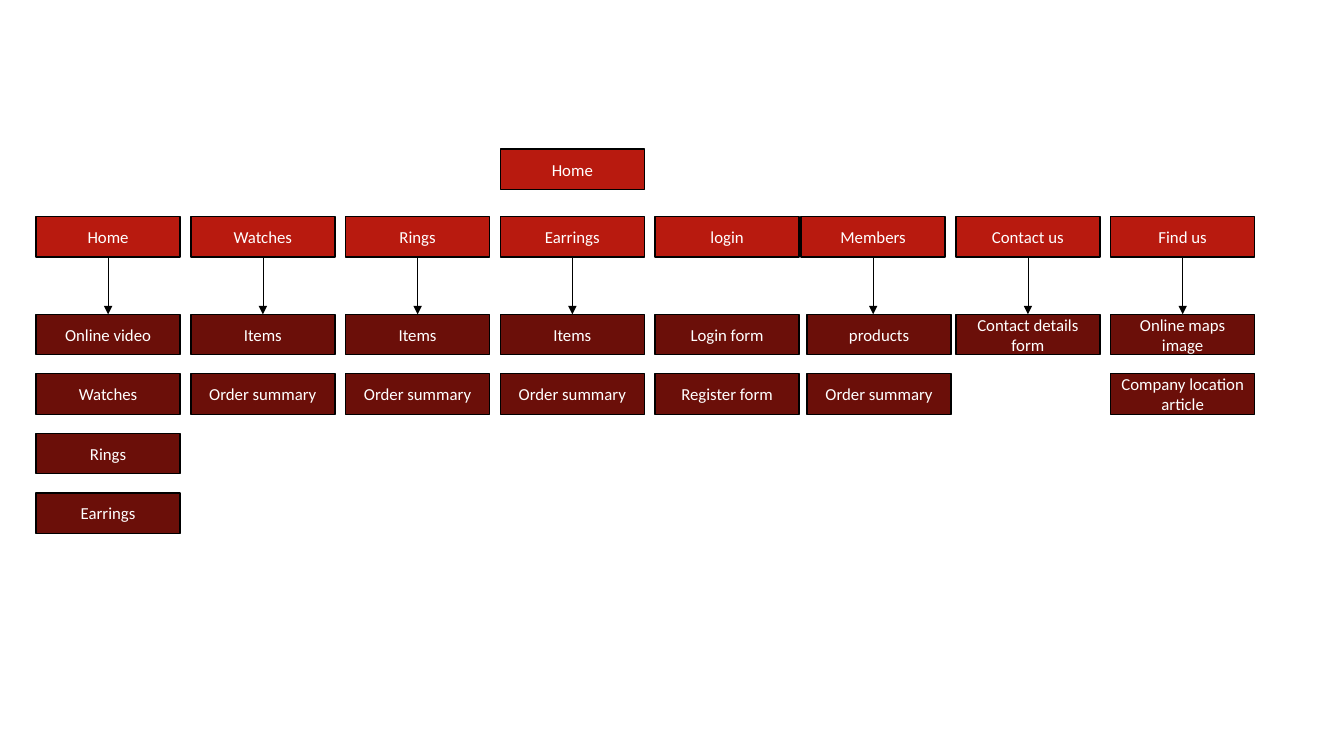
from lxml import etree
from pptx import Presentation
from pptx import util as u
from pptx.dml.color import RGBColor
from pptx.enum import shapes, text
from pptx.oxml.ns import qn

BRIGHT_RED = RGBColor(0xB8, 0x1A, 0x0F)
DARK_RED = RGBColor(0x6B, 0x0F, 0x09)
BLACK = RGBColor(0, 0, 0)
WHITE = RGBColor(0xFF, 0xFF, 0xFF)

BOX_WIDTH, BOX_HEIGHT = u.Cm(3.63), u.Cm(1.02)
COLUMN_PITCH, ROW_PITCH = u.Cm(3.9), u.Cm(1.5)
SECTION_TOP = u.Cm(5.46)
FIRST_PAGE_DROP = u.Cm(2.46)

# Each section: menu name, its pages, whether an arrow leads to them, page indent
SHOP_SECTIONS = [
    ("Home", ["Online video", "Watches", "Rings", "Earrings"], True, 0),
    ("Watches", ["Items", "Order summary"], True, 0),
    ("Rings", ["Items", "Order summary"], True, 0),
    ("Earrings", ["Items", "Order summary"], True, 0),
    ("login", ["Login form", "Register form"], False, 0),
]
SERVICE_SECTIONS = [
    ("Members", ["products", "Order summary"], True, u.Cm(0.15)),
    ("Contact us", ["Contact details form"], True, 0),
    ("Find us", ["Online maps image", "Company location article"], True, 0),
]


def add_page_box(slide, left, top, label, color):
    box = slide.shapes.add_shape(
        shapes.MSO_SHAPE.RECTANGLE, left, top, BOX_WIDTH, BOX_HEIGHT)
    box.shadow.inherit = False
    box.fill.solid()
    box.fill.fore_color.rgb = color
    box.line.color.rgb = BLACK
    box.line.width = u.Pt(1)
    frame = box.text_frame
    frame.word_wrap = True
    frame.vertical_anchor = text.MSO_ANCHOR.MIDDLE
    paragraph = frame.paragraphs[0]
    paragraph.text = label
    paragraph.alignment = text.PP_ALIGN.CENTER
    paragraph.font.name = "Calibri"
    paragraph.font.size = u.Pt(12)
    paragraph.font.color.rgb = WHITE
    return box


def add_arrow(slide, menu, bottom):
    center = menu.left + menu.width // 2
    arrow = slide.shapes.add_connector(
        shapes.MSO_CONNECTOR.STRAIGHT, center, menu.top + menu.height, center, bottom)
    arrow.begin_connect(menu, 2)
    arrow.line.color.rgb = BLACK
    arrow.line.width = u.Pt(0.5)
    etree.SubElement(arrow.line._get_or_add_ln(), qn("a:tailEnd"), type="triangle")
    etree.SubElement(arrow._element.spPr, qn("a:effectLst"))


def add_section(slide, left, top, name, pages, has_arrow, indent):
    menu = add_page_box(slide, left, top, name, BRIGHT_RED)
    first_page = top + FIRST_PAGE_DROP
    for row, page in enumerate(pages):
        add_page_box(slide, left + indent, first_page + row * ROW_PITCH, page, DARK_RED)
    if has_arrow:
        add_arrow(slide, menu, first_page)


def add_section_group(slide, left, top, sections):
    for column, section in enumerate(sections):
        add_section(slide, left + column * COLUMN_PITCH, top, *section)


def add_site_map(prs):
    slide = prs.slides.add_slide(prs.slide_layouts[6])
    # Root page
    add_page_box(slide, u.Cm(12.61), u.Cm(3.76), "Home", BRIGHT_RED)
    # Menu sections with their pages
    add_section_group(slide, u.Cm(0.91), SECTION_TOP, SHOP_SECTIONS)
    add_section_group(slide, u.Cm(20.19), SECTION_TOP, SERVICE_SECTIONS)


def main():
    prs = Presentation()
    prs.slide_width, prs.slide_height = u.Cm(33.87), u.Cm(19.05)
    add_site_map(prs)
    prs.save("out.pptx")


if __name__ == "__main__":
    main()
